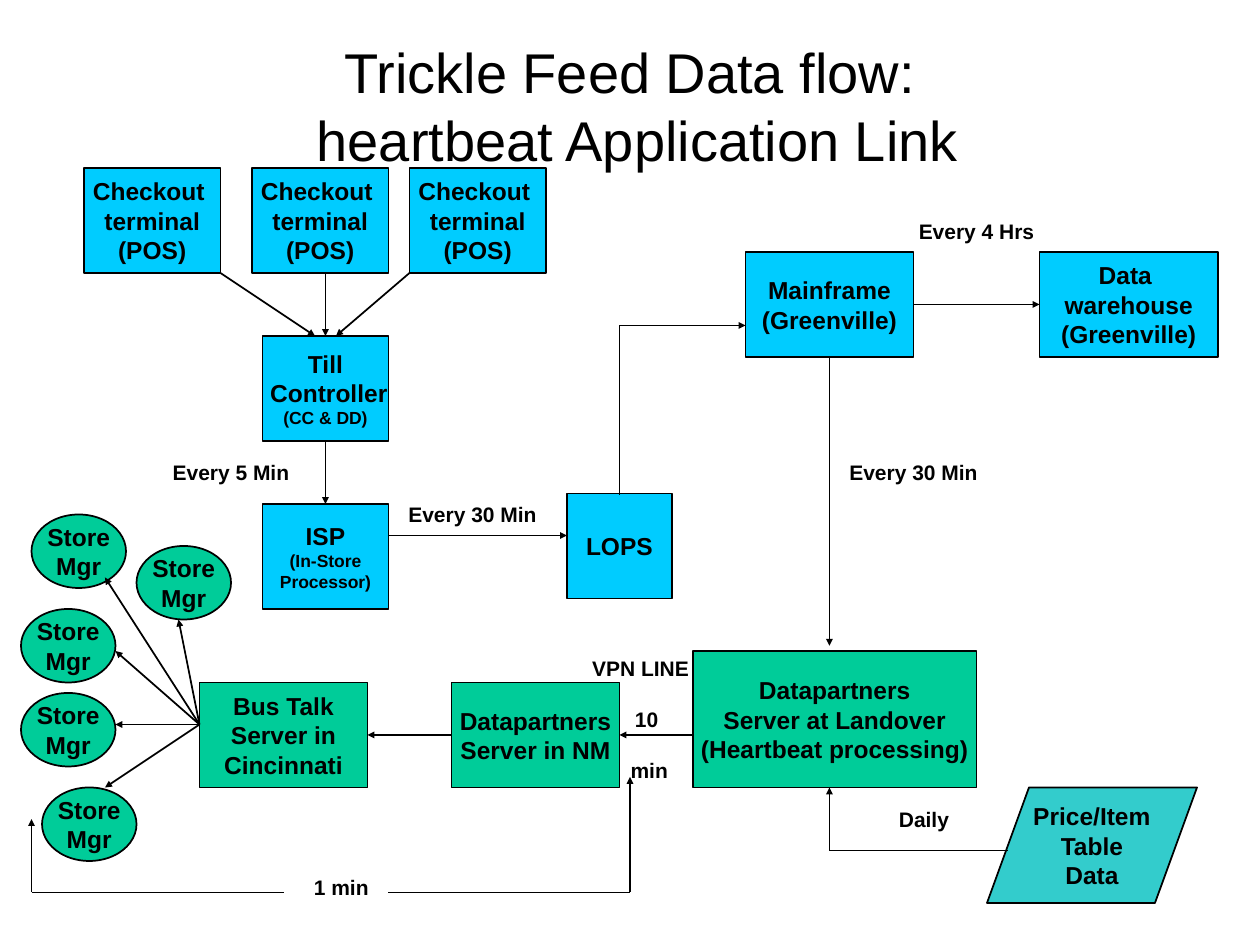
import dataclasses

import pptx
import pptx.dml.color
import pptx.enum.shapes
import pptx.enum.text
import pptx.oxml
import pptx.oxml.ns
import pptx.util

Pt = pptx.util.Pt
SHAPE = pptx.enum.shapes.MSO_SHAPE
TOP, LEFT, BOTTOM, RIGHT = range(4)


@dataclasses.dataclass(frozen=True)
class Theme:
    """Colours, font and type sizes of the slide."""
    ink: str = "000000"
    system: str = "00CCFF"
    server: str = "00CC99"
    source: str = "33CCCC"
    font: str = "Arial"
    title: int = 32
    node: int = 14
    label: int = 12
    detail: int = 10


THEME = Theme()


def rgb(value):
    """Turn a hex string into a colour."""
    return pptx.dml.color.RGBColor.from_string(value)


def write(holder, text, size, bold=True, wrap=False):
    """Put centred text into a shape or text box."""
    frame = holder.text_frame
    frame.text = text
    frame.word_wrap = wrap
    frame.vertical_anchor = pptx.enum.text.MSO_ANCHOR.MIDDLE
    for paragraph in frame.paragraphs:
        paragraph.alignment = pptx.enum.text.PP_ALIGN.CENTER
        for run in paragraph.runs:
            run.font.name = THEME.font
            run.font.size = Pt(size)
            run.font.bold = bold
            run.font.color.rgb = rgb(THEME.ink)


@dataclasses.dataclass
class Region:
    """A part of the slide whose contents are placed from its left top corner."""
    slide: object
    left: float
    top: float

    def place(self, x, y):
        """Return slide coordinates for a point of the region."""
        return Pt(self.left + x), Pt(self.top + y)

    def node(self, text, x, y, width, height, fill=THEME.system, kind=SHAPE.RECTANGLE):
        """Draw one filled and outlined station of the flow."""
        station = self.slide.shapes.add_shape(kind, *self.place(x, y), Pt(width), Pt(height))
        station.shadow.inherit = False
        station.fill.solid()
        station.fill.fore_color.rgb = rgb(fill)
        station.line.color.rgb = rgb(THEME.ink)
        station.line.width = Pt(1)
        write(station, text, THEME.node)
        return station

    def label(self, text, x, y, width=96, height=24, size=THEME.label, **style):
        """Write free text in the region."""
        caption = self.slide.shapes.add_textbox(*self.place(x, y), Pt(width), Pt(height))
        write(caption, text, size, **style)
        return caption

    def link(self, start, end, source=None, target=None, arrow=True):
        """Draw a line, joined to (station, side) pairs where they are given."""
        flow = self.slide.shapes.add_connector(
            pptx.enum.shapes.MSO_CONNECTOR.STRAIGHT, *self.place(*start), *self.place(*end))
        flow.line.color.rgb = rgb(THEME.ink)
        flow.line.width = Pt(1)
        if source:
            flow.begin_connect(*source)
        if target:
            flow.end_connect(*target)
        if arrow:
            tip = pptx.oxml.parse_xml(
                f'<a:tailEnd {pptx.oxml.ns.nsdecls("a")} type="triangle" w="sm" len="sm"/>')
            flow.line._get_or_add_ln().append(tip)
        effects = pptx.oxml.parse_xml(f'<a:effectLst {pptx.oxml.ns.nsdecls("a")}/>')
        flow._element.spPr.append(effects)


def shrink(runs):
    """Set runs in the detail size."""
    for run in runs:
        run.font.size = Pt(THEME.detail)


def draw_title(region):
    """Write the slide title."""
    region.label("Trickle Feed Data flow:\v heartbeat Application Link",
                 0, 0, 672, 84, THEME.title, bold=False, wrap=True)


def draw_store(region):
    """Draw the flow from the checkouts to the LOPS station."""
    for x in (0, 96, 186):
        region.node("Checkout \vterminal\v(POS)", x, 0, 78, 60)
    controller = region.node("Till\n Controller\v(CC & DD)", 102, 96, 72, 60)
    shrink(controller.text_frame.paragraphs[1].runs[1:])
    region.link((138, 60), (138, 96), target=(controller, TOP))
    region.link((186, 60), (144, 96))
    region.link((78, 60), (132, 96))

    region.node("LOPS", 276, 186, 60, 60)
    region.link((144, 210), (276, 210))
    processor = region.node("ISP\v(In-Store\vProcessor)", 102, 192, 72, 60)
    shrink(processor.text_frame.paragraphs[0].runs[1:])
    region.link((138, 156), (138, 192), (controller, BOTTOM), (processor, TOP))
    region.label("Every 5 Min", 36, 162)
    region.label("Every 30 Min", 174, 186)


def draw_headquarters(region):
    """Draw the mainframe, the warehouse and the links around them."""
    mainframe = region.node("Mainframe\v(Greenville)", 72, 24, 96, 60)
    warehouse = region.node("Data \vwarehouse\v(Greenville)", 240, 24, 102, 60)
    region.link((168, 54), (240, 54), (mainframe, RIGHT), (warehouse, LEFT))
    region.link((120, 84), (120, 249), source=(mainframe, BOTTOM))
    region.link((0, 66), (0, 163), arrow=False)
    region.link((0, 66), (72, 66))
    region.label("Every 4 Hrs", 156, 0)
    region.label("Every 30 Min", 120, 138)


def draw_servers(region):
    """Draw the servers, the price data and the return bracket."""
    region.node("Datapartners\nServer at Landover\n(Heartbeat processing)",
                282, 0, 162, 78, THEME.server)
    talk = region.node("Bus Talk\nServer in\nCincinnati", 0, 18, 96, 60, THEME.server)
    relay = region.node("Datapartners\nServer in NM", 144, 18, 96, 60, THEME.server)
    region.link((144, 48), (96, 48), (relay, LEFT), (talk, RIGHT))
    region.link((282, 48), (240, 48), target=(relay, RIGHT))
    vpn = region.label("VPN LINE\n10\nmin", 204, 0, 96, 78)
    for step, paragraph in enumerate(vpn.text_frame.paragraphs[1:], 1):
        paragraph.space_before = Pt(14.5)
        paragraph._p.get_or_add_pPr().set("marL", str(Pt(4 + step * 3)))

    region.node("Price/Item\nTable\nData", 450, 78, 120, 66, THEME.source, SHAPE.FLOWCHART_DATA)
    region.link((360, 114), (360, 78))
    region.link((360, 114), (462, 114), arrow=False)
    region.label("Daily", 366, 84)

    region.link((108, 138), (246, 138), arrow=False)
    region.link((246, 138), (246, 72))
    region.link((48, 138), (-96, 138), arrow=False)
    region.link((-96, 138), (-96, 96))
    region.label("1 min", 54, 126, 54, 18)


def draw_managers(region):
    """Draw the store managers and the arrows that reach them."""
    hub = (102, 120)
    managers = [((66, 18), (90, 60)), ((6, 0), (48, 36)), ((0, 54), (54, 78)),
                ((0, 102), (54, 120)), ((12, 156), (48, 156))]
    for corner, tip in managers:
        region.node("Store\nMgr", *corner, 54, 42, THEME.server, SHAPE.FLOWCHART_CONNECTOR)
    for corner, tip in managers:
        region.link(hub, tip)


def main():
    """Build and save the slide."""
    deck = pptx.Presentation()
    deck.slide_width, deck.slide_height = Pt(720), Pt(540)
    slide = deck.slides.add_slide(deck.slide_layouts[6])
    draw_store(Region(slide, 48, 96))
    draw_title(Region(slide, 24, 18))
    draw_headquarters(Region(slide, 354, 120))
    draw_servers(Region(slide, 114, 372))
    draw_managers(Region(slide, 12, 294))
    deck.save("out.pptx")


if __name__ == "__main__":
    main()
